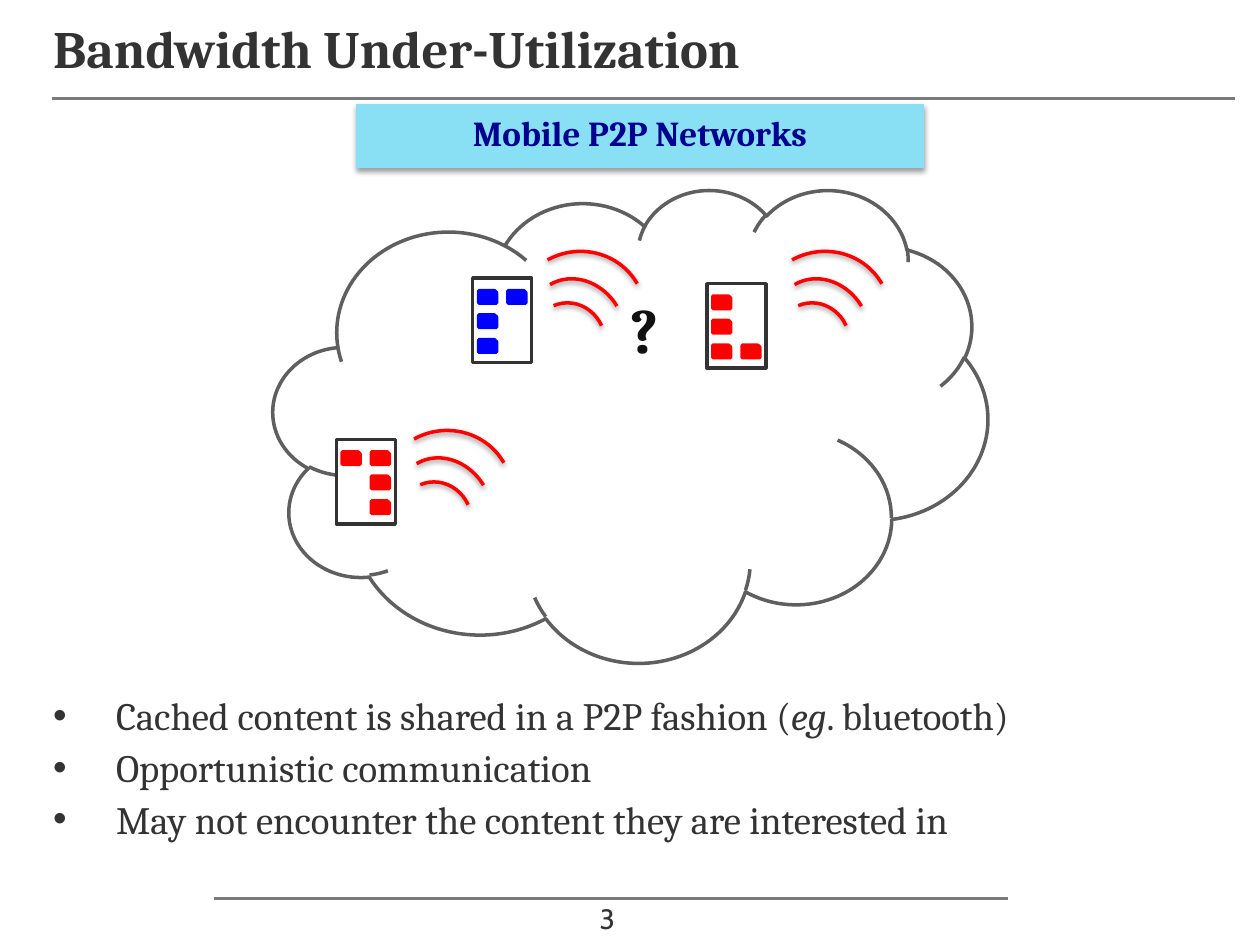
from dataclasses import dataclass

from lxml.etree import SubElement
from pptx import Presentation
from pptx.dml.color import RGBColor
from pptx.enum.shapes import MSO_CONNECTOR, MSO_SHAPE
from pptx.enum.text import MSO_ANCHOR, MSO_AUTO_SIZE, PP_ALIGN
from pptx.oxml.ns import qn
from pptx.util import Cm, Pt


@dataclass(frozen=True)
class Theme:
    serif: str = "Cambria"
    sans: str = "Cabin"
    ink: str = "333333"
    rule: str = "7B7B7B"
    cloud: str = "5F5F5F"
    paper: str = "FFFFFF"
    red: str = "FF0000"
    blue: str = "0000FF"
    banner: str = "89DFF3"
    banner_ink: str = "000090"
    question: str = "111111"
    title_size: float = 30
    body_size: float = 22.1
    banner_size: float = 20
    question_size: float = 36
    number_size: float = 16
    outline: float = 2
    rule_width: float = 1.5


# Phone grid and radio waves, in cm from the phone and wave corners
CHIP_COLUMNS = (0.12, 0.71)
CHIP_ROWS = (0.25, 0.74, 1.24)
WAVES = (
    # left, top, width, height, rotation, arc start and end
    (0.43, 1.02, 1.45, 1.52, 336.5, (162, 215.747)),
    (0, 0, 2.72, 2.64, 328.4, (163.799, 0.99)),
    (0.38, 0.51, 1.88, 2.13, 329.5, (162, 215.747)),
)


class SlideBuilder:
    def __init__(self, page, theme):
        self.page = page
        self.theme = theme

    def rule(self, left, right, top):
        line = self.page.shapes.add_connector(
            MSO_CONNECTOR.STRAIGHT, Cm(left), Cm(top), Cm(right), Cm(top))
        line.line.color.rgb = RGBColor.from_string(self.theme.rule)
        line.line.width = Pt(self.theme.rule_width)
        SubElement(line._element.spPr, qn("a:effectLst"))

    def shape(self, kind, place, line, fill=None, width=None, parent=None, shadow=False):
        shapes = (parent or self.page).shapes
        shape = shapes.add_shape(kind, *(Cm(length) for length in place))
        shape.shadow.inherit = False
        if fill:
            shape.fill.solid()
            shape.fill.fore_color.rgb = RGBColor.from_string(fill)
        else:
            shape.fill.background()
        shape.line.color.rgb = RGBColor.from_string(line)
        shape.line.width = Pt(width or self.theme.outline)
        if shadow:
            self.drop_shadow(shape)
        return shape

    def drop_shadow(self, shape):
        effects = shape._element.spPr.find(qn("a:effectLst"))
        outer = SubElement(effects, qn("a:outerShdw"), blurRad=str(Pt(3.1)),
                           dist=str(Pt(1.6)), dir="5400000", rotWithShape="0")
        color = SubElement(outer, qn("a:srgbClr"), val="000000")
        SubElement(color, qn("a:alpha"), val="38000")

    def frame(self, box, anchor=MSO_ANCHOR.TOP, inset=0.13, wrap=True):
        frame = box.text_frame
        frame.auto_size = MSO_AUTO_SIZE.NONE
        frame.word_wrap = wrap
        frame.vertical_anchor = anchor
        frame.margin_left = frame.margin_right = Cm(0)
        frame.margin_top = frame.margin_bottom = Cm(inset)
        return frame

    def span(self, para, text, size, color, font=None, bold=False, italic=False):
        span = para.add_run()
        span.text = text
        span.font.name = font or self.theme.serif
        span.font.size = Pt(size)
        span.font.bold = bold
        span.font.italic = italic
        span.font.color.rgb = RGBColor.from_string(color)

    def text_box(self, place, **options):
        box = self.page.shapes.add_textbox(*(Cm(length) for length in place))
        return self.frame(box, **options)

    def title(self, text, place):
        box = self.page.shapes.title
        box.left, box.top, box.width, box.height = (Cm(length) for length in place)
        para = self.frame(box).paragraphs[0]
        para.alignment = PP_ALIGN.LEFT
        self.span(para, text, self.theme.title_size, self.theme.ink, bold=True)

    def bullets(self, items, place):
        frame = self.text_box(place)
        for index, item in enumerate(items):
            para = frame.add_paragraph() if index else frame.paragraphs[0]
            properties = para._p.get_or_add_pPr()
            properties.set("marL", str(Cm(1.27)))
            properties.set("indent", str(-Cm(1.27)))
            SubElement(properties, qn("a:buFont"), typeface="Arial")
            SubElement(properties, qn("a:buChar"), char="•")
            if index:
                para.space_before = Pt(3)
            for text, italic in item:
                self.span(para, text, self.theme.body_size, self.theme.ink, italic=italic)

    def banner(self, text, place):
        box = self.shape(MSO_SHAPE.RECTANGLE, place, self.theme.banner,
                         fill=self.theme.banner, width=0.75, shadow=True)
        para = self.frame(box).paragraphs[0]
        para.alignment = PP_ALIGN.CENTER
        self.span(para, text, self.theme.banner_size, self.theme.banner_ink, bold=True)

    def phone(self, corner, wave_corner, color, chips):
        group = self.page.shapes.add_group_shape()
        left, top = corner
        self.shape(MSO_SHAPE.RECTANGLE, (left, top, 1.19, 1.7), self.theme.ink,
                   fill=self.theme.paper, parent=group)
        # Cached content, placed by column and row
        for column, row in chips:
            place = (left + CHIP_COLUMNS[column], top + CHIP_ROWS[row], 0.36, 0.25)
            self.shape(MSO_SHAPE.SNIP_1_RECTANGLE, place, color, fill=color, parent=group)
        # Radio waves
        for x, y, width, height, rotation, angles in WAVES:
            place = (wave_corner[0] + x, wave_corner[1] + y, width, height)
            arc = self.shape(MSO_SHAPE.ARC, place, self.theme.red, parent=group, shadow=True)
            arc.adjustments[0], arc.adjustments[1] = angles
            arc.rotation = rotation


def main():
    theme = Theme()
    deck = Presentation()
    deck.slide_width, deck.slide_height = Cm(25.4), Cm(19.05)
    page = deck.slides.add_slide(deck.slide_layouts[5])
    builder = SlideBuilder(page, theme)

    # Rules, page number and title
    builder.rule(1.04, 24.89, 1.98)
    builder.rule(4.32, 20.32, 18.11)
    number = builder.text_box((12.09, 18.42, 0.81, 0.43),
                              anchor=MSO_ANCHOR.BOTTOM, inset=0, wrap=False)
    builder.span(number.paragraphs[0], "3", theme.number_size, theme.ink, font=theme.sans)
    builder.title("Bandwidth Under-Utilization", (1.07, 0.2, 23.88, 1.78))

    # Network cloud
    builder.shape(MSO_SHAPE.CLOUD, (5.51, 3.81, 14.4, 9.53), theme.cloud)

    # Main points
    builder.bullets([
        [("Cached content is shared in a P2P fashion (", False), ("eg", True),
         (". bluetooth)", False)],
        [("Opportunistic communication", False)],
        [("May not encounter the content they are interested in", False)],
    ], (1.07, 13.82, 23.85, 3.33))

    # Phones with their cached content
    builder.phone((6.78, 8.86), (7.62, 8.69), theme.red, [(1, 2), (1, 0), (0, 0), (1, 1)])
    builder.phone((9.53, 5.61), (10.31, 5.08), theme.blue, [(0, 1), (0, 0), (0, 2), (1, 0)])
    builder.phone((14.25, 5.72), (15.24, 5.08), theme.red, [(0, 1), (1, 2), (0, 0), (0, 2)])

    # Banner and open question
    builder.banner("Mobile P2P Networks", (7.19, 2.11, 11.43, 1.27))
    question = builder.text_box((12.7, 5.72, 0.84, 1.47))
    builder.span(question.paragraphs[0], "?", theme.question_size, theme.question, bold=True)

    deck.save("out.pptx")


if __name__ == "__main__":
    main()
